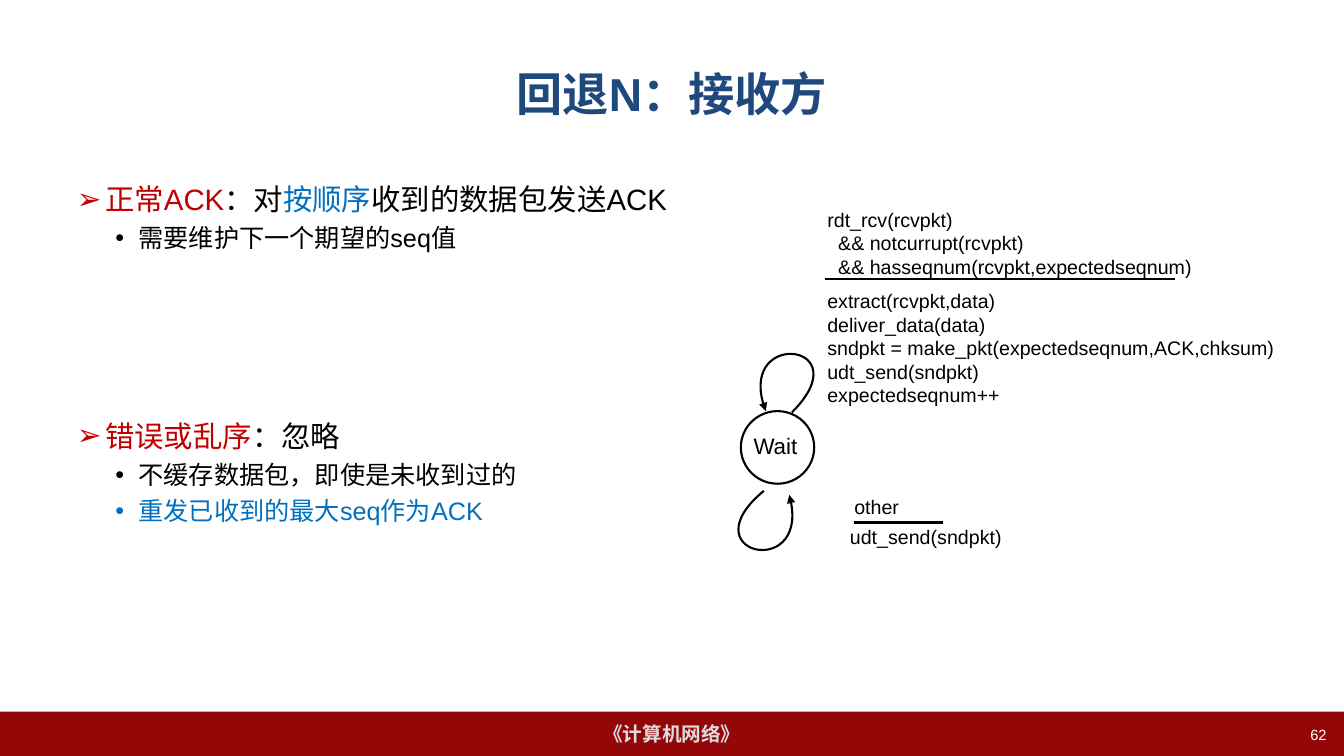
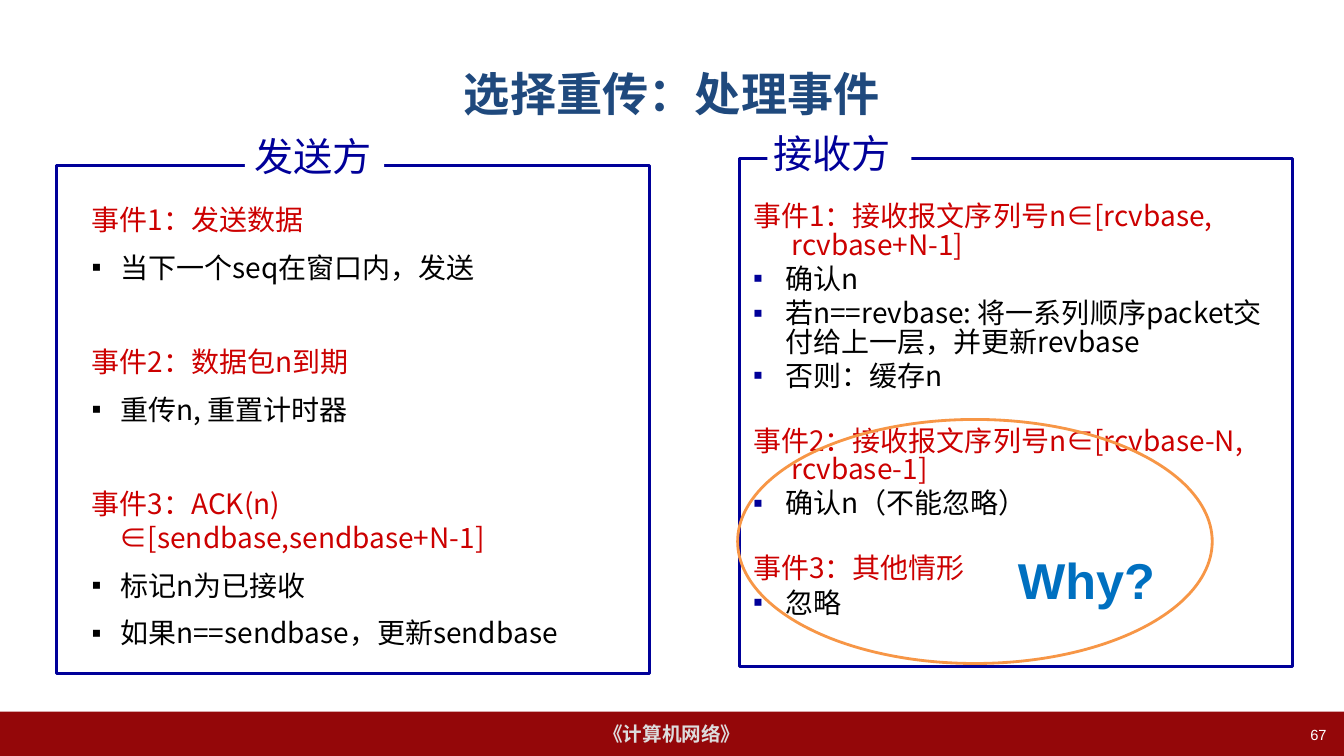
from lxml.etree import SubElement
from pptx import Presentation
from pptx.dml.color import RGBColor
from pptx.enum.shapes import MSO_CONNECTOR, MSO_SHAPE
from pptx.enum.text import MSO_ANCHOR, PP_ALIGN
from pptx.oxml.ns import qn
from pptx.util import Cm, Pt

LATIN = "Arial"
CJK = "Noto Sans CJK SC"
BLACK = "000000"
WHITE = "FFFFFF"
BAND = "940709"
BAND_TEXT = "DDDDDD"
TITLE = "1F497D"
KEY_RED = "C00000"
EVENT_RED = "CC0000"
BLUE = "0070C0"
NAVY = "000099"
ORANGE = "F79646"
WIDTH, HEIGHT = 33.87, 19.05
BAND_TOP = 17.93


def rgb(value):
    return RGBColor.from_string(value)


def add_bullet(paragraph, char, color):
    properties = paragraph._p.get_or_add_pPr()
    if color:
        tint = SubElement(properties, qn("a:buClr"))
        SubElement(tint, qn("a:srgbClr"), val=color)
    SubElement(properties, qn("a:buFont"), typeface=LATIN)
    SubElement(properties, qn("a:buChar"), char=char)


def write(frame, text, *, size, color=BLACK, font=LATIN, bold=False,
          align=PP_ALIGN.LEFT, before=0, spacing=None, margin=0, hang=0,
          bullet=None, bullet_color=None):
    first = frame.paragraphs[0]
    paragraph = frame.add_paragraph() if first.runs else first
    paragraph.alignment = align
    paragraph.line_spacing = spacing
    if first.runs:
        paragraph.space_before = Pt(before)
    if margin:
        properties = paragraph._p.get_or_add_pPr()
        properties.set("marL", str(Cm(margin)))
        properties.set("indent", str(Cm(-hang)))
    if bullet:
        add_bullet(paragraph, bullet, bullet_color)
    pieces = [(text, color)] if isinstance(text, str) else text
    for words, tint in pieces:
        run = paragraph.add_run()
        run.text = words
        run.font.size = Pt(size)
        run.font.bold = bold
        run.font.name = font
        run.font.color.rgb = rgb(tint)
        SubElement(run._r.get_or_add_rPr(), qn("a:ea"), typeface=CJK)


def add_box(slide, left, top, width, height, anchor=MSO_ANCHOR.TOP):
    box = slide.shapes.add_textbox(Cm(left), Cm(top), Cm(width), Cm(height))
    box.text_frame.word_wrap = True
    box.text_frame.vertical_anchor = anchor
    return box.text_frame


def paint(shape, fill, line, weight):
    shape.shadow.inherit = False
    if fill:
        shape.fill.solid()
        shape.fill.fore_color.rgb = rgb(fill)
    else:
        shape.fill.background()
    if line:
        shape.line.color.rgb = rgb(line)
        shape.line.width = Pt(weight)
    else:
        shape.line.fill.background()


def add_figure(slide, preset, left, top, width, height,
               fill=None, line=None, weight=1.5):
    figure = slide.shapes.add_shape(preset, Cm(left), Cm(top), Cm(width), Cm(height))
    paint(figure, fill, line, weight)
    figure.text_frame.vertical_anchor = MSO_ANCHOR.MIDDLE
    return figure.text_frame


def add_rule(slide, left, right, y, weight):
    rule = slide.shapes.add_connector(MSO_CONNECTOR.STRAIGHT, Cm(left), Cm(y), Cm(right), Cm(y))
    rule.line.color.rgb = rgb(BLACK)
    rule.line.width = Pt(weight)
    SubElement(rule._element.spPr, qn("a:effectLst"))


def add_loop(slide, start, *controls):
    points = [(Cm(x), Cm(y)) for x, y in controls]
    builder = slide.shapes.build_freeform(Cm(start[0]), Cm(start[1]))
    builder.add_line_segments(points, close=False)
    loop = builder.convert_to_shape()
    paint(loop, None, BLACK, 1.5)
    outline = next(loop._element.iter(qn("a:path")))
    segments = outline.findall(qn("a:lnTo"))
    curve = SubElement(outline, qn("a:cubicBezTo"))
    for segment in segments:
        curve.append(segment[0])
        outline.remove(segment)
    SubElement(loop.line._get_or_add_ln(), qn("a:tailEnd"), type="triangle")


def add_code(slide, left, top, width, height, *lines, size=14):
    frame = add_box(slide, left, top, width, height)
    for line in lines:
        write(frame, line, size=size)


def add_page(deck, title, number):
    slide = deck.slides.add_slide(deck.slide_layouts[6])
    band = add_figure(slide, MSO_SHAPE.RECTANGLE, 0, BAND_TOP, WIDTH, HEIGHT - BAND_TOP, fill=BAND)
    write(band, "《计算机网络》", size=14, color=BAND_TEXT, bold=True, align=PP_ALIGN.CENTER)
    heading = add_box(slide, 1.69, 0.76, 30.48, 3.18, MSO_ANCHOR.MIDDLE)
    write(heading, title, size=33, color=TITLE, bold=True, align=PP_ALIGN.CENTER)
    page_number = add_box(slide, 25.78, 18.16, 7.9, 0.89)
    write(page_number, number, size=10.5, color=WHITE, align=PP_ALIGN.RIGHT)
    return slide


def add_panel(slide, left, top, width, label, label_left, label_top, label_width, inset):
    height = 12.8
    add_figure(slide, MSO_SHAPE.RECTANGLE, left, top, width, height, line=NAVY, weight=2.25)
    tab = add_figure(slide, MSO_SHAPE.RECTANGLE, label_left, label_top, label_width, 1.45,
                     fill=WHITE)
    tab.margin_left = Cm(inset)
    tab.margin_right = 0
    write(tab, label, size=28, color=NAVY, font=CJK)


def write_events(frame, events, *, gap, before, spacing, event_indent, step_indent,
                 bullet_color=None):
    shared = dict(size=20, font=CJK, spacing=spacing)
    for event, steps in events:
        write(frame, event, color=EVENT_RED, before=gap,
              margin=event_indent, hang=event_indent, **shared)
        for step in steps:
            write(frame, step, before=before, margin=step_indent, hang=step_indent,
                  bullet="▪", bullet_color=bullet_color, **shared)


def add_receiver_page(deck):
    slide = add_page(deck, "回退N：接收方", "62")
    topic = dict(size=21, before=118, margin=0.71, hang=0.71, bullet="➢")
    detail = dict(size=18, before=4.2, margin=1.55, hang=0.58, bullet="•")
    body = add_box(slide, 1.69, 4.45, 30.48, 12.57)
    write(body, [("正常ACK", KEY_RED), ("：对", BLACK), ("按顺序", BLUE),
                 ("收到的数据包发送ACK", BLACK)], **topic)
    write(body, "需要维护下一个期望的seq值", **detail)
    write(body, [("错误或乱序", KEY_RED), ("：忽略", BLACK)], **topic)
    write(body, "不缓存数据包，即使是未收到过的", **detail)
    write(body, "重发已收到的最大seq作为ACK", color=BLUE, **detail)

    add_figure(slide, MSO_SHAPE.OVAL, 18.67, 10.36, 1.85, 1.83, fill=WHITE, line=BLACK)
    add_code(slide, 18.74, 10.77, 2.24, 0.66, "Wait", size=16)
    add_loop(slide, (19.96, 10.39), (21.69, 8.66), (18.49, 8.26), (19.3, 10.36))
    add_loop(slide, (19.25, 12.37), (17.35, 13.94), (20.5, 14.66), (19.89, 12.47))

    add_code(slide, 20.6, 5.11, 9.91, 1.57,
             "rdt_rcv(rcvpkt)",
             "  && notcurrupt(rcvpkt)",
             "  && hasseqnum(rcvpkt,expectedseqnum)")
    add_rule(slide, 20.78, 29.62, 7.04, 1.5)
    add_code(slide, 20.6, 7.16, 11.99, 2.39,
             "extract(rcvpkt,data)",
             "deliver_data(data)",
             "sndpkt = make_pkt(expectedseqnum,ACK,chksum)",
             "udt_send(sndpkt)",
             "expectedseqnum++")
    add_code(slide, 21.28, 12.34, 2.01, 0.69, "other")
    add_rule(slide, 21.51, 23.77, 13.16, 2.25)
    add_code(slide, 21.17, 13.11, 4.5, 0.86, "udt_send(sndpkt)")


def add_events_page(deck):
    slide = add_page(deck, "选择重传：处理事件", "67")
    add_panel(slide, 1.42, 4.17, 14.96, "发送方", 6.17, 3.2, 3.51, 0.25)
    add_panel(slide, 18.63, 3.99, 13.94, "接收方", 19.34, 3.12, 3.63, 0.16)

    sender_events = [
        ("事件1：发送数据", ["当下一个seq在窗口内，发送"]),
        ("事件2：数据包n到期", ["重传n, 重置计时器"]),
        ("事件3：ACK(n) ∈[sendbase,sendbase+N-1]",
         ["标记n为已接收", "如果n==sendbase，更新sendbase"]),
    ]
    write_events(add_box(slide, 2.06, 4.98, 14.2, 11.9), sender_events, gap=43.5, before=10,
                 spacing=1.0, event_indent=0.71, step_indent=0.72)

    receiver_events = [
        ("事件1：接收报文序列号n∈[rcvbase, rcvbase+N-1]",
         ["确认n", "若n==revbase: 将一系列顺序packet交付给上一层，并更新revbase", "否则：缓存n"]),
        ("事件2：接收报文序列号n∈[rcvbase-N, rcvbase-1]", ["确认n（不能忽略）"]),
        ("事件3：其他情形", ["忽略"]),
    ]
    write_events(add_box(slide, 18.73, 5.01, 13.61, 11.05), receiver_events, gap=26, before=4,
                 spacing=0.85, event_indent=0.97, step_indent=0.81, bullet_color=NAVY)

    add_figure(slide, MSO_SHAPE.OVAL, 18.59, 10.57, 11.96, 6.15, line=ORANGE, weight=2)
    question = add_box(slide, 25.4, 13.72, 4.5, 1.8)
    write(question, "Why?", size=36, color=BLUE, bold=True)


def main():
    deck = Presentation()
    deck.slide_width = Cm(WIDTH)
    deck.slide_height = Cm(HEIGHT)
    add_receiver_page(deck)
    add_events_page(deck)
    deck.save("out.pptx")


if __name__ == "__main__":
    main()
